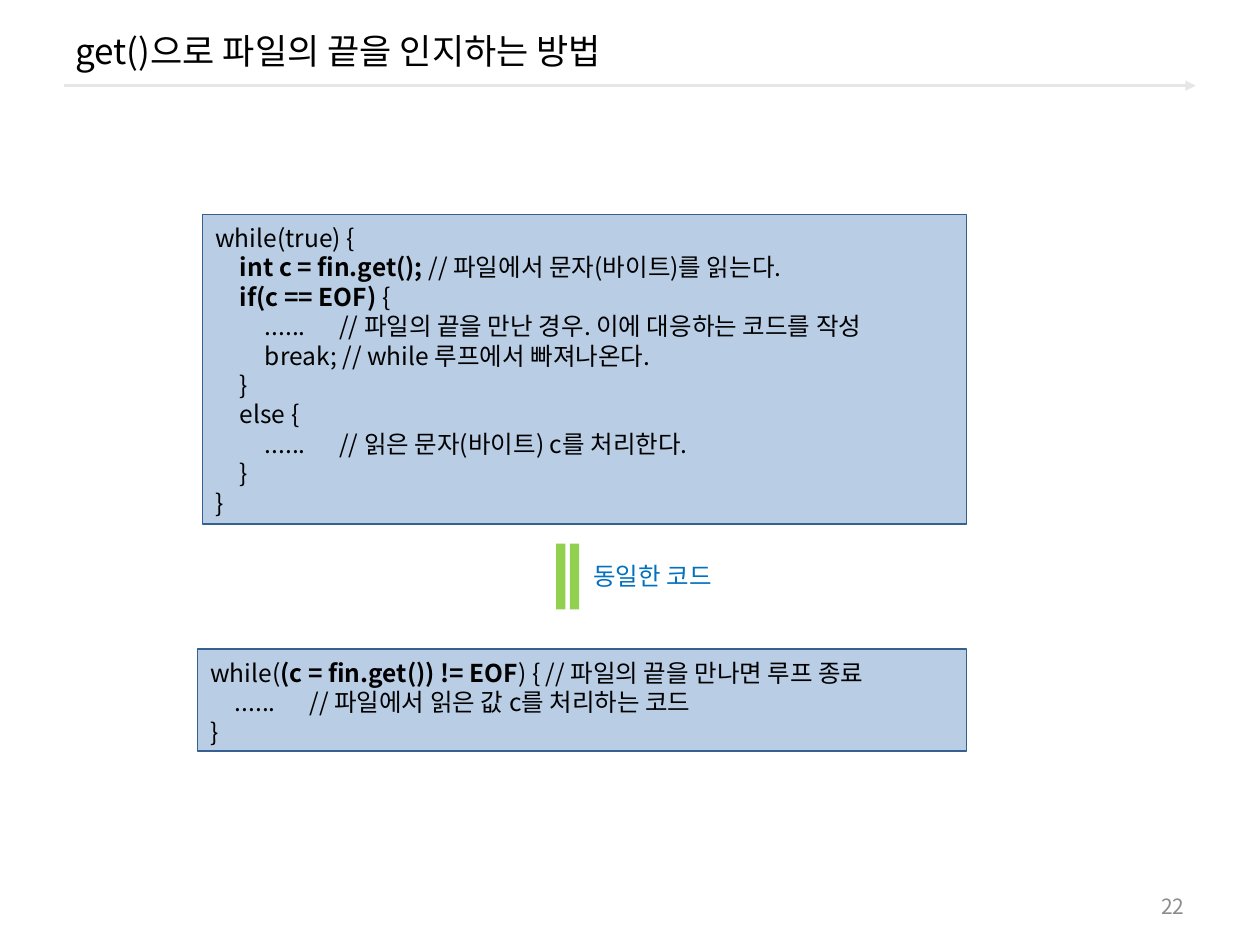
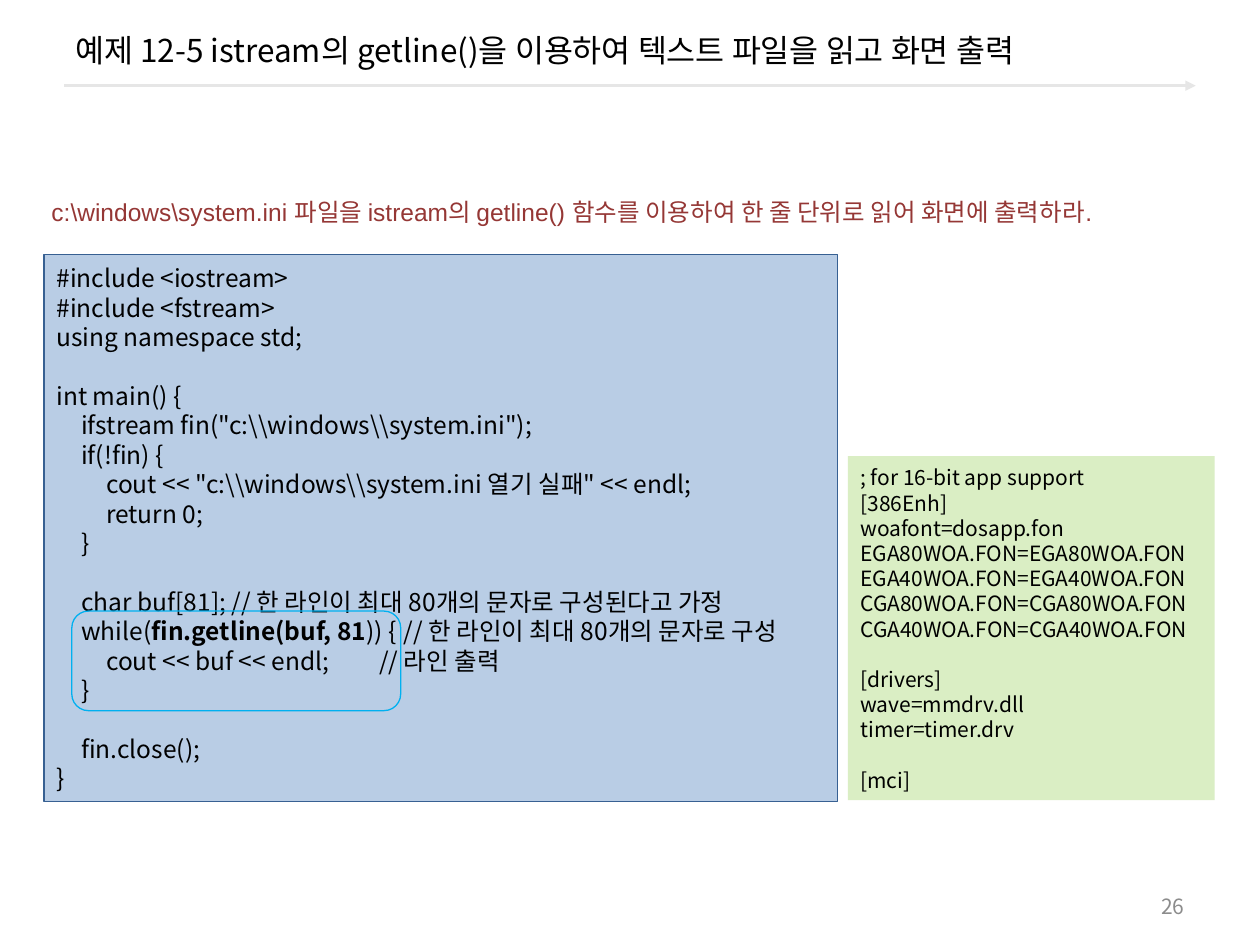
from lxml.etree import SubElement
from pptx import Presentation
from pptx.dml.color import RGBColor
from pptx.enum.shapes import MSO_CONNECTOR, MSO_SHAPE
from pptx.enum.text import MSO_ANCHOR as Anchor, PP_ALIGN as Align
from pptx.oxml.ns import qn
from pptx.util import Inches, Pt

FONT = "Noto Sans CJK KR"
BLACK = "000000"
RULE_GRAY = "E6E6E6"
NUMBER_GRAY = "8C8C8C"
CODE_FILL = "B9CDE5"
CODE_EDGE = "376092"
OUTPUT_FILL = "DAEEC4"
EQUAL_GREEN = "92D050"
LABEL_BLUE = "0070C0"
FRAME_BLUE = "00B0F0"
TASK_RED = "953735"
LINE_FACTOR = 1.2
TAB_STEP = Inches(1.97) // 10
TAB_COUNT = 20

LOOP_CODE = """while(true) {
\t**int c = fin.get(); **// 파일에서 문자(바이트)를 읽는다.
\t**if(c == EOF) **{
\t\t......\t\t// 파일의 끝을 만난 경우. 이에 대응하는 코드를 작성
\t\tbreak; // while 루프에서 빠져나온다.
\t}
\telse {
\t\t......\t\t// 읽은 문자(바이트) c를 처리한다.
\t}
}"""

SHORT_CODE = """while(**(c = fin.get()) != EOF**) { // 파일의 끝을 만나면 루프 종료
\t......\t\t// 파일에서 읽은 값 c를 처리하는 코드
}"""

GETLINE_CODE = r"""#include <iostream>
#include <fstream>
using namespace std;

int main() {
	ifstream fin("c:\\windows\\system.ini");
	if(!fin) {
		cout << "c:\\windows\\system.ini 열기 실패" << endl;
		return 0;
	}

	char buf[81]; // 한 라인이 최대 80개의 문자로 구성된다고 가정
	while(**fin.getline(buf, 81**)) { 	// 한 라인이 최대 80개의 문자로 구성
		cout << buf << endl; 		// 라인 출력
	}

	fin.close();
}"""

INI_OUTPUT = """; for 16-bit app support
[386Enh]
woafont=dosapp.fon
EGA80WOA.FON=EGA80WOA.FON
EGA40WOA.FON=EGA40WOA.FON
CGA80WOA.FON=CGA80WOA.FON
CGA40WOA.FON=CGA40WOA.FON

[drivers]
wave=mmdrv.dll
timer=timer.drv

[mci]"""


def color(value):
    return RGBColor.from_string(value)


def place(box):
    return [Inches(length) for length in box]


def add_span(para, text, size, tint, font=FONT, bold=False):
    span = para.add_run()
    span.text = text
    span.font.size = Pt(size)
    span.font.name = font
    span.font.bold = bold
    span.font.color.rgb = color(tint)
    east_asian = SubElement(span.font._element, qn("a:ea"))
    east_asian.set("typeface", FONT)


def add_tabs(para):
    stops = SubElement(para._p.get_or_add_pPr(), qn("a:tabLst"))
    for index in range(1, TAB_COUNT + 1):
        SubElement(stops, qn("a:tab"), pos=str(index * TAB_STEP), algn="l")


def write_lines(frame, text, size, tint=BLACK, font=FONT):
    frame.vertical_anchor = Anchor.TOP
    frame.margin_top = Inches(0.07)
    pitch = Pt(size * LINE_FACTOR)
    para, gap = frame.paragraphs[0], False
    for number, line in enumerate(text.split("\n")):
        if not line:
            gap = True
            continue
        if number:
            para = frame.add_paragraph()
        add_tabs(para)
        para.alignment = Align.LEFT
        para.line_spacing = pitch
        if gap:
            para.space_before = pitch
            gap = False
        for index, part in enumerate(line.split("**")):
            if part:
                add_span(para, part, size, tint, font, bold=index % 2 == 1)


def add_shape(page, kind, box, fill=None, edge=None):
    shape = page.shapes.add_shape(kind, *place(box))
    shape.shadow.inherit = False
    if fill:
        shape.fill.solid()
        shape.fill.fore_color.rgb = color(fill)
    else:
        shape.fill.background()
    if edge:
        shape.line.color.rgb = color(edge)
        shape.line.width = Pt(0.75)
    else:
        shape.line.fill.background()
    return shape


def add_panel(page, box, text, size=14, fill=CODE_FILL, edge=CODE_EDGE, wrap=True):
    frame = add_shape(page, MSO_SHAPE.RECTANGLE, box, fill, edge).text_frame
    frame.word_wrap = wrap
    write_lines(frame, text, size)


def add_text(page, box, text, tint, font=FONT, wrap=True):
    frame = page.shapes.add_textbox(*place(box)).text_frame
    frame.word_wrap = wrap
    write_lines(frame, text, 14, tint, font)


def add_single_line(page, box, text, size, tint, align=Align.LEFT):
    frame = page.shapes.add_textbox(*place(box)).text_frame
    frame.word_wrap = True
    frame.vertical_anchor = Anchor.MIDDLE
    para = frame.paragraphs[0]
    para.alignment = align
    add_span(para, text, size, tint)


def add_rule(page, left, right, height):
    rule = page.shapes.add_connector(
        MSO_CONNECTOR.STRAIGHT, *place((left, height, right, height)))
    rule.line.color.rgb = color(RULE_GRAY)
    rule.line.width = Pt(1.5)
    SubElement(rule.line._get_or_add_ln(), qn("a:tailEnd"), type="triangle")
    SubElement(rule._element.spPr, qn("a:effectLst"))


def add_page(deck, title, title_size, number):
    page = deck.slides.add_slide(deck.slide_layouts[6])
    add_rule(page, 0.51, 9.49, 0.68)
    add_single_line(page, (0.5, 0.08, 9, 0.64), title, title_size, BLACK)
    add_single_line(page, (7.17, 7.03, 2.33, 0.32), number, 12, NUMBER_GRAY, Align.RIGHT)
    return page


def add_equal_mark(page, box):
    left, top, width, height = box
    mark = add_shape(page, MSO_SHAPE.MATH_EQUAL, box, EQUAL_GREEN)
    mark.rotation = 90
    add_text(page, (left + 0.46, top - 0.04, 1.25, 0.34), "동일한 코드", LABEL_BLUE, wrap=False)


def add_getline_panel(page, box):
    left, top, width, height = box
    add_panel(page, box, GETLINE_CODE)
    add_panel(page, (left + width + 0.08, top + 1.6, 2.91, 2.73), INI_OUTPUT,
              size=12, fill=OUTPUT_FILL, edge=None, wrap=False)
    add_shape(page, MSO_SHAPE.ROUNDED_RECTANGLE,
              (left + 0.22, top + 2.83, 2.61, 0.79), edge=FRAME_BLUE)


def build_eof_page(deck):
    page = add_page(deck, "get()으로 파일의 끝을 인지하는 방법", 20, "22")
    add_panel(page, (1.61, 1.7, 6.06, 2.46), LOOP_CODE)
    add_panel(page, (1.57, 5.15, 6.1, 0.81), SHORT_CODE)
    add_equal_mark(page, (4.15, 4.42, 0.71, 0.31))


def build_getline_page(deck):
    page = add_page(
        deck, "예제 12-5 istream의 getline()을 이용하여 텍스트 파일을 읽고 화면 출력", 18, "26")
    add_getline_panel(page, (0.35, 2.02, 6.3, 4.34))
    add_text(page, (0.31, 1.49, 9.69, 0.34),
             r"c:\windows\system.ini 파일을 istream의 getline() 함수를 이용하여 "
             "한 줄 단위로 읽어 화면에 출력하라.", TASK_RED, font="Arial")


def main():
    deck = Presentation()
    deck.slide_width, deck.slide_height = Inches(10), Inches(7.5)
    build_eof_page(deck)
    build_getline_page(deck)
    deck.save("out.pptx")


if __name__ == "__main__":
    main()
